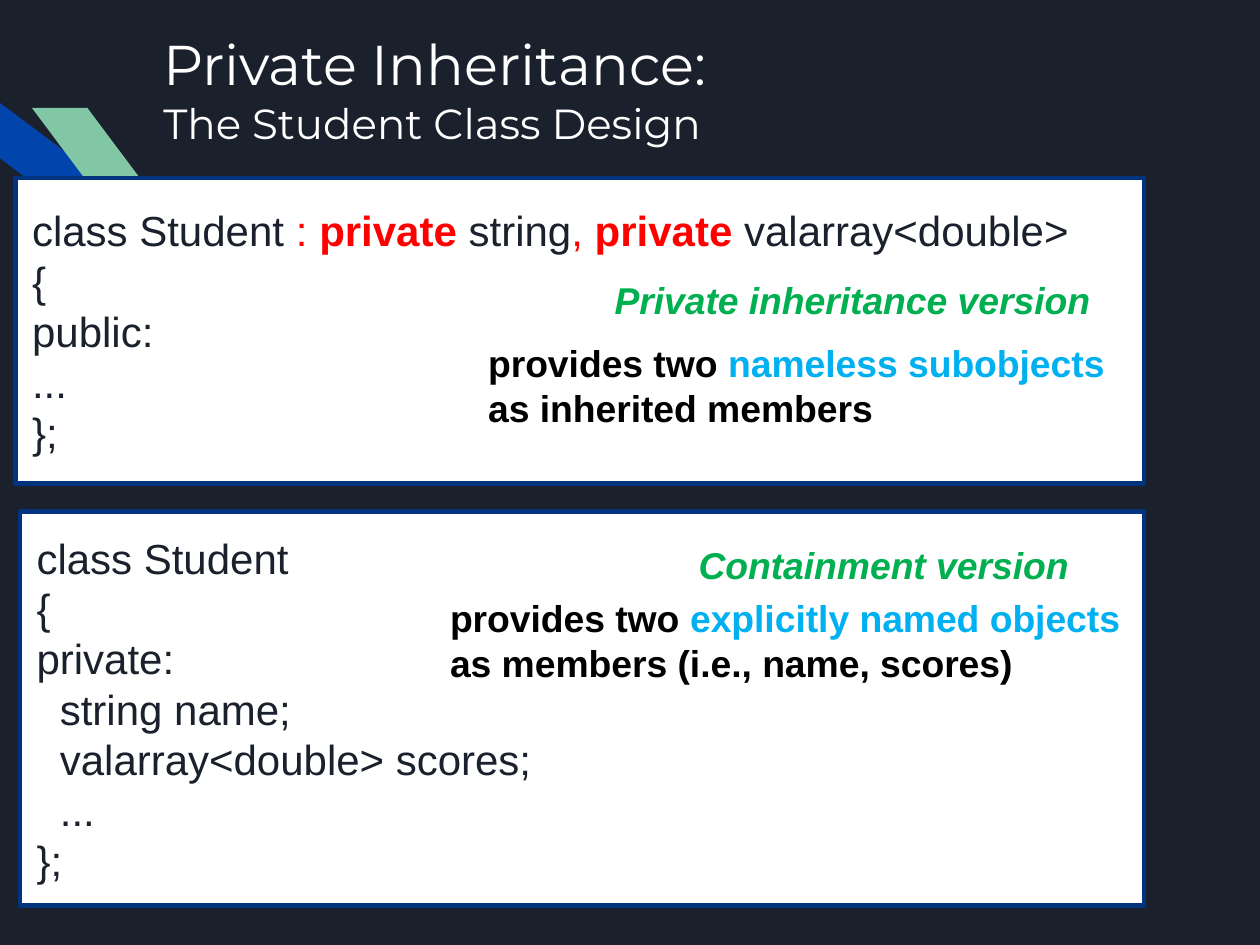
from dataclasses import dataclass

from pptx import Presentation
from pptx.dml.color import RGBColor
from pptx.enum.shapes import MSO_SHAPE
from pptx.enum.text import MSO_ANCHOR, PP_ALIGN
from pptx.util import Pt

STRIPE, RECT = MSO_SHAPE.DIAGONAL_STRIPE, MSO_SHAPE.RECTANGLE
MIDDLE, LEFT = MSO_ANCHOR.MIDDLE, PP_ALIGN.LEFT


@dataclass(frozen=True)
class Theme:
    dark: str = "1B212C"
    white: str = "FFFFFF"
    black: str = "000000"
    blue: str = "0145AC"
    mint: str = "82C7A5"
    border: str = "01337F"
    red: str = "FF0000"
    green: str = "00B050"
    sky: str = "00B0F0"
    heading_font: str = "Montserrat"
    body_font: str = "Arial"
    title_size: int = 24
    code_size: int = 18
    note_size: int = 16


T = Theme()


def add_run(p, text, size, color, name=T.body_font, **style):
    r = p.add_run()
    r.text = text
    r.font.color.rgb = RGBColor.from_string(color)
    for key, value in {"name": name, "size": Pt(size), **style}.items():
        setattr(r.font, key, value)


def add_filled(kind, box, color):
    sp = slide.shapes.add_shape(kind, *map(Pt, box))
    sp.shadow.inherit = False
    sp.fill.solid()
    sp.fill.fore_color.rgb = RGBColor.from_string(color)
    sp.line.fill.background()
    return sp


prs = Presentation()
prs.slide_width, prs.slide_height = Pt(540), Pt(405)
slide = prs.slides.add_slide(prs.slide_layouts[5])
slide.background.fill.solid()
slide.background.fill.fore_color.rgb = RGBColor.from_string(T.dark)

# Corner stripes
add_filled(STRIPE, (0, 30.2, 47.5, 63.4), T.blue).rotation = 270
mint_stripe = add_filled(STRIPE, (13.7, 46.2, 47.5, 63.4), T.mint)
mint_stripe._element.spPr.xfrm.set("flipH", "1")

# Title
title = slide.shapes.title
title.left, title.top, title.width, title.height = map(Pt, (65, 11, 469.5, 54))
tf = title.text_frame
tf.vertical_anchor = MIDDLE
for side in ("left", "right", "top", "bottom"):
    setattr(tf, f"margin_{side}", Pt(5))
p = tf.paragraphs[0]
p.alignment = LEFT
add_run(p, "Private Inheritance:", T.title_size, T.white, T.heading_font)
p.add_line_break()
add_run(p, "The Student Class Design", T.code_size, T.white, T.heading_font)

# Code panels: each line is a list of (text, colour, bold)
inheritance_head = [
    ("class Student ", T.dark, False), (": ", T.red, False),
    ("private ", T.red, True), ("string", T.dark, False),
    (", ", T.red, False), ("private ", T.red, True),
    ("valarray<double>", T.dark, False),
]
containment_head = [("class Student", T.dark, False)]
panels = [
    ((6.7, 76.3, 483.6, 131), inheritance_head, ["{", "public:", "...", "};"]),
    ((8.6, 219.2, 481.7, 169), containment_head,
     ["{", "private:", "  string name;", "  valarray<double> scores;", "  ...", "};"]),
]
for box, head, rest in panels:
    sp = add_filled(RECT, box, T.white)
    sp.line.color.rgb = RGBColor.from_string(T.border)
    sp.line.width = Pt(2)
    tf = sp.text_frame
    tf.word_wrap = True
    tf.vertical_anchor = MIDDLE
    lines = [head] + [[(text, T.dark, False)] for text in rest]
    for i, line in enumerate(lines):
        p = tf.add_paragraph() if i else tf.paragraphs[0]
        p.alignment = LEFT
        for text, color, bold in line:
            add_run(p, text, T.code_size, color, bold=bold)

# Notes beside the code: parts are (text, colour, italic)
notes = [
    ((292.3, 229, 176.4, 26.6), [("Containment version", T.green, True)]),
    ((256.3, 115.2, 221.8, 26.6), [("Private inheritance version", T.green, True)]),
    ((202.1, 142.4, 282.2, 46), [
        ("provides two ", T.black, False), ("nameless subobjects", T.sky, False),
        (" as inherited members", T.black, False)]),
    ((185.8, 251.5, 304.6, 46), [
        ("provides two ", T.black, False), ("explicitly named objects", T.sky, False),
        (" as members (i.e., name, scores)", T.black, False)]),
]
for box, parts in notes:
    tf = slide.shapes.add_textbox(*map(Pt, box)).text_frame
    tf.word_wrap = True
    for text, color, italic in parts:
        add_run(tf.paragraphs[0], text, T.note_size, color, bold=True, italic=italic)

prs.save("out.pptx")
